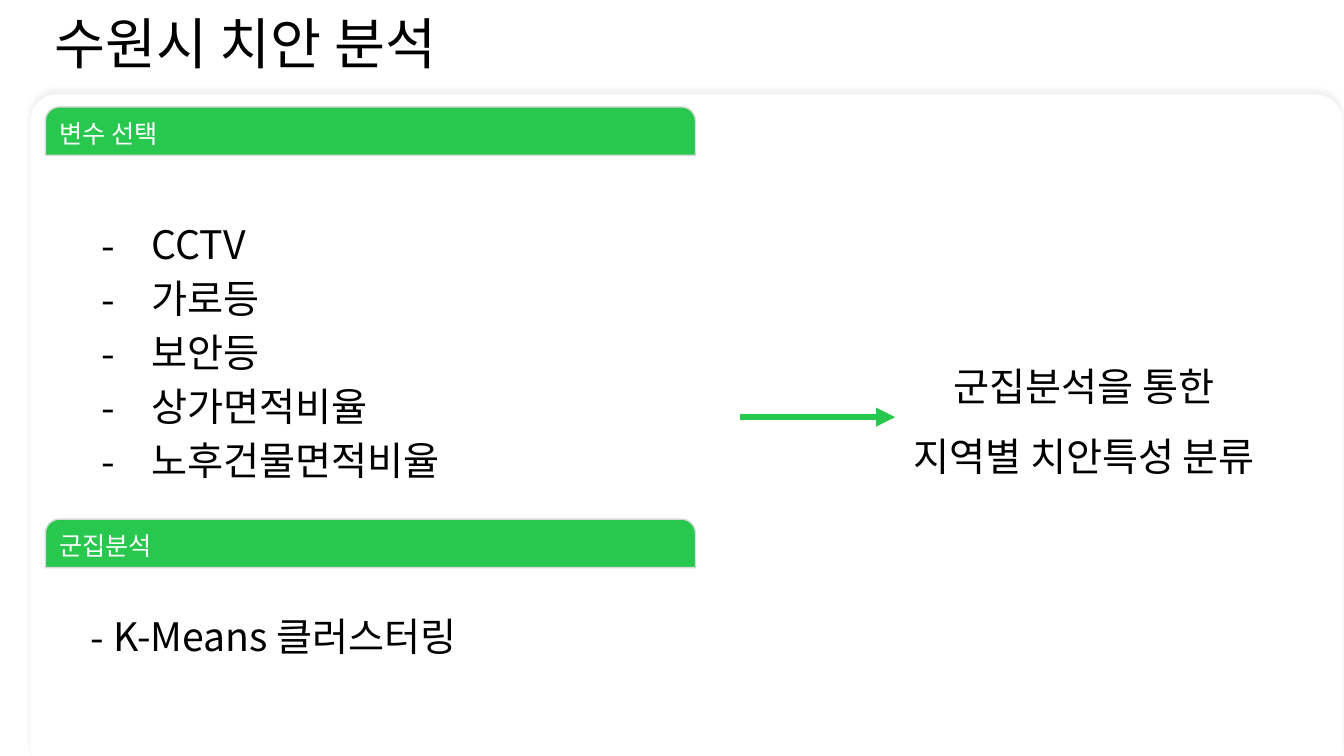
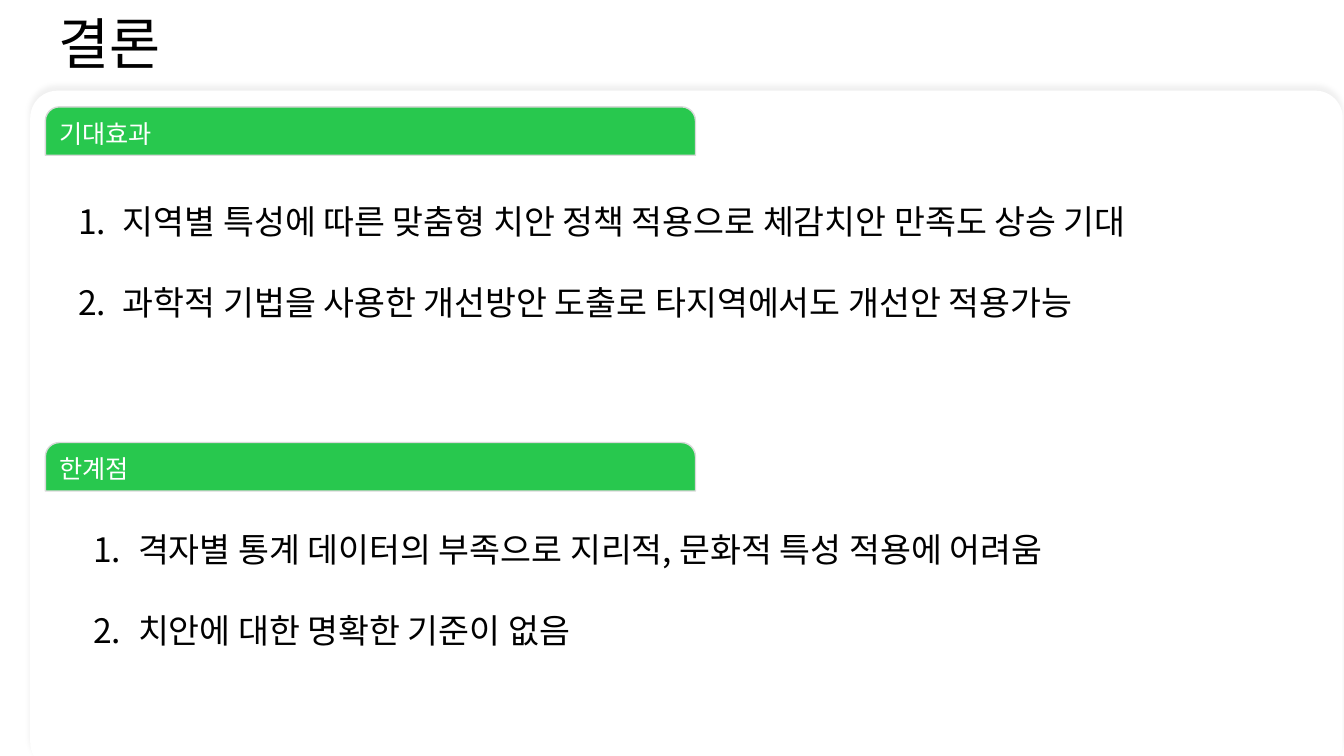
from lxml import etree
from pptx import Presentation
from pptx.dml.color import RGBColor
from pptx.enum.shapes import MSO_CONNECTOR, MSO_SHAPE
from pptx.enum.text import MSO_ANCHOR, MSO_AUTO_SIZE, PP_ALIGN
from pptx.oxml.ns import qn
from pptx.util import Pt

LEFT, CENTER = PP_ALIGN.LEFT, PP_ALIGN.CENTER
TOP, MIDDLE = MSO_ANCHOR.TOP, MSO_ANCHOR.MIDDLE
NO_FIT = MSO_AUTO_SIZE.NONE
ROUND, TAB = MSO_SHAPE.ROUNDED_RECTANGLE, MSO_SHAPE.ROUND_2_SAME_RECTANGLE
STRAIGHT = MSO_CONNECTOR.STRAIGHT

FONT = "Noto Sans CJK KR"
COLORS = {"text": "000000", "panel": "FFFFFF", "green": "28C84E",
          "edge": "D9D9D9", "header": "FFFFFF", "shadow": "000000"}
INSET = 9.4
TWO_CONTENT = 3

DASH = ("buChar", {"char": "-"})
NUMBER = ("buAutoNum", {"type": "arabicPeriod"})
DASHED = {"bullet": DASH, "size": 28, "margin": 48, "hang": 36, "spacing": 1.15, "gap": 0}
TIGHT_DASH = {**DASHED, "margin": 16, "hang": 16, "spacing": 1}
NUMBERED = {"bullet": NUMBER, "size": 24, "margin": 46, "hang": 32, "spacing": 1, "gap": 28.9}

SLIDES = [
    {"title": "수원시 치안 분석", "title_left": 29.5, "panel_top": 67.5,
     "sections": [
         ("변수 선택", 76.3, (51.1, 142.6, 513.4, 215.3), DASHED,
          ["CCTV", "가로등", "보안등", "상가면적비율", "노후건물면적비율"]),
         ("군집분석", 370.8, (55.4, 427.6, 645.8, 52.6), TIGHT_DASH,
          ["K-Means 클러스터링"])],
     "result": ["군집분석을 통한", "지역별 치안특성 분류"]},
    {"title": "결론", "title_left": 32.4, "panel_top": 64.8,
     "sections": [
         ("기대효과", 76.3, (32.4, 133.9, 807, 106.6), NUMBERED,
          ["지역별 특성에 따른 맞춤형 치안 정책 적용으로 체감치안 만족도 상승 기대",
           "과학적 기법을 사용한 개선방안 도출로 타지역에서도 개선안 적용가능"]),
         ("한계점", 316.1, (43.2, 368.6, 807, 106.6), NUMBERED,
          ["격자별 통계 데이터의 부족으로 지리적, 문화적 특성 적용에 어려움",
           "치안에 대한 명확한 기준이 없음"])]},
]


def rgb(name):
    return RGBColor.from_string(COLORS[name])


def add_xml(parent, tag, **attrs):
    return etree.SubElement(parent, qn("a:" + tag), attrs)


def place(sp, left, top, width, height):
    sp.left, sp.top, sp.width, sp.height = Pt(left), Pt(top), Pt(width), Pt(height)


def set_frame(tf, inset=None, anchor=TOP):
    tf.word_wrap, tf.auto_size, tf.vertical_anchor = True, NO_FIT, anchor
    if inset is not None:
        tf.margin_left = tf.margin_right = tf.margin_top = tf.margin_bottom = Pt(inset)


def write(tf, lines, size, color="text", align=LEFT, spacing=1, gap=0):
    for i, line in enumerate(lines):
        p = tf.add_paragraph() if i else tf.paragraphs[0]
        p.text = line
        p.alignment, p.line_spacing = align, spacing
        p.space_before = Pt(gap if i else 0)
        for r in p.runs:
            r.font.size, r.font.name = Pt(size), FONT
            r.font.color.rgb = rgb(color)
            add_xml(r.font._element, "ea", typeface=FONT)


def add_title(s, text, left):
    sp = s.shapes.title
    place(sp, left, 6.5, 894, 60.5)
    set_frame(sp.text_frame, INSET)
    write(sp.text_frame, [text], 39.6, spacing=0.8)


def add_panel(s, top):
    sp = s.shapes.add_shape(ROUND, Pt(21.6), Pt(top), Pt(937.5), Pt(485))
    sp.adjustments[0] = 0.04
    sp.fill.solid()
    sp.fill.fore_color.rgb = rgb("panel")
    sp.line.fill.background()
    sp.shadow.inherit = False
    effects = sp._element.spPr.find(qn("a:effectLst"))
    shadow = add_xml(effects, "outerShdw", blurRad=str(Pt(4)), dist=str(Pt(3)),
                     dir="16200000", algn="b", rotWithShape="0")
    add_xml(add_xml(shadow, "srgbClr", val=COLORS["shadow"]), "alpha", val="5000")
    s.shapes._spTree.insert(2, sp._element)


def add_header(s, text, top):
    sp = s.shapes.add_shape(TAB, Pt(32.4), Pt(top), Pt(464.4), Pt(34.6))
    sp.adjustments[0], sp.adjustments[1] = 0.29, 0
    sp.shadow.inherit = False
    sp.fill.solid()
    sp.fill.fore_color.rgb = rgb("green")
    sp.line.color.rgb, sp.line.width = rgb("edge"), Pt(1)
    set_frame(sp.text_frame, anchor=MIDDLE)
    write(sp.text_frame, [text], 18, "header")


def fill_list(sp, box, style, items):
    place(sp, *box)
    tf = sp.text_frame
    set_frame(tf, INSET)
    write(tf, items, style["size"], spacing=style["spacing"], gap=style["gap"])
    tag, attrs = style["bullet"]
    for p in tf.paragraphs:
        pPr = p._p.get_or_add_pPr()
        pPr.set("marL", str(Pt(style["margin"])))
        pPr.set("indent", str(-Pt(style["hang"])))
        add_xml(pPr, "buFont", typeface=FONT)
        add_xml(pPr, tag, **attrs)


def add_result(s, lines):
    arrow = s.shapes.add_connector(STRAIGHT, Pt(528.5), Pt(298), Pt(639.4), Pt(298))
    arrow.line.color.rgb, arrow.line.width = rgb("green"), Pt(4.5)
    add_xml(arrow.line._get_or_add_ln(), "tailEnd", type="triangle")
    add_xml(arrow._element.spPr, "effectLst")
    sp = s.shapes.add_textbox(Pt(639.4), Pt(255.6), Pt(270), Pt(91.4))
    set_frame(sp.text_frame)
    write(sp.text_frame, lines, 28, align=CENTER, gap=16)


def main():
    prs = Presentation()
    prs.slide_width, prs.slide_height = Pt(960), Pt(540)
    for data in SLIDES:
        s = prs.slides.add_slide(prs.slide_layouts[TWO_CONTENT])
        add_title(s, data["title"], data["title_left"])
        add_panel(s, data["panel_top"])
        bodies = list(s.placeholders)[1:]
        for sp, (header, top, box, style, items) in zip(bodies, data["sections"]):
            add_header(s, header, top)
            fill_list(sp, box, style, items)
        for sp in bodies[len(data["sections"]):]:
            sp._element.getparent().remove(sp._element)
        if "result" in data:
            add_result(s, data["result"])
    prs.save("out.pptx")


if __name__ == "__main__":
    main()
